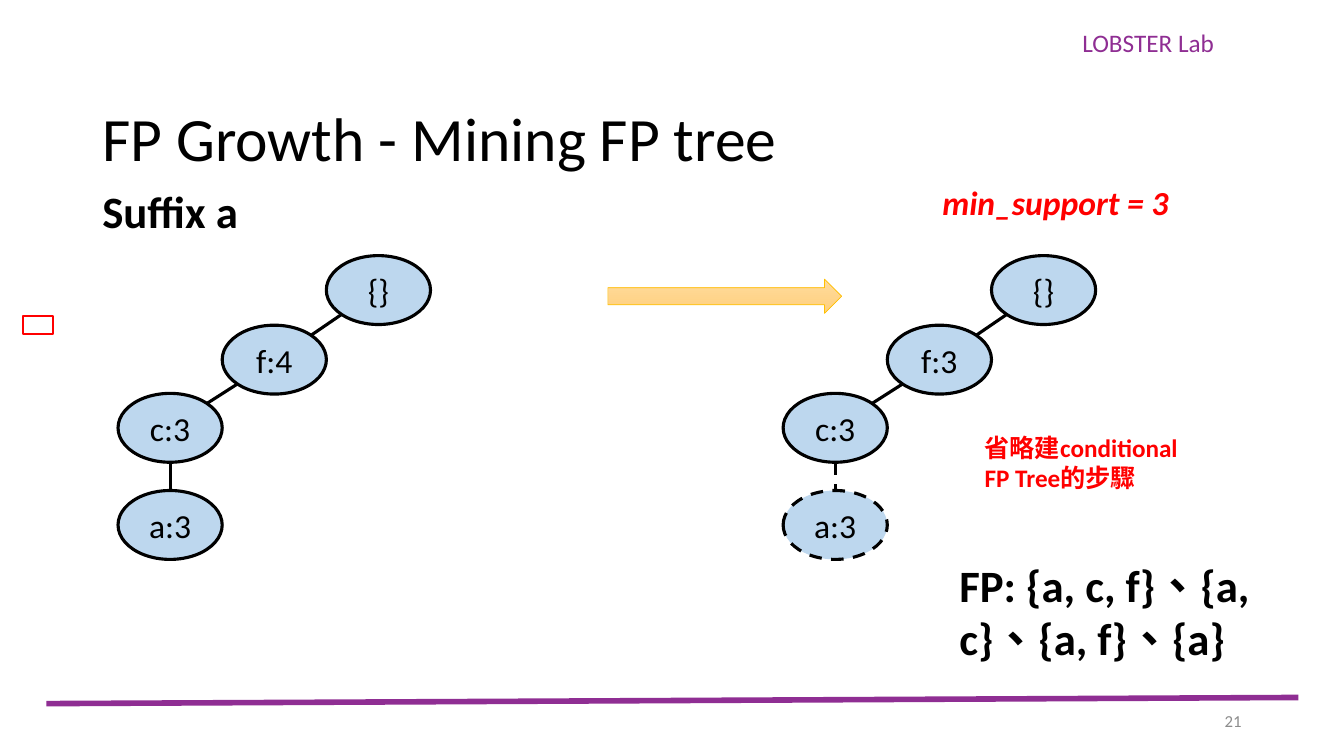
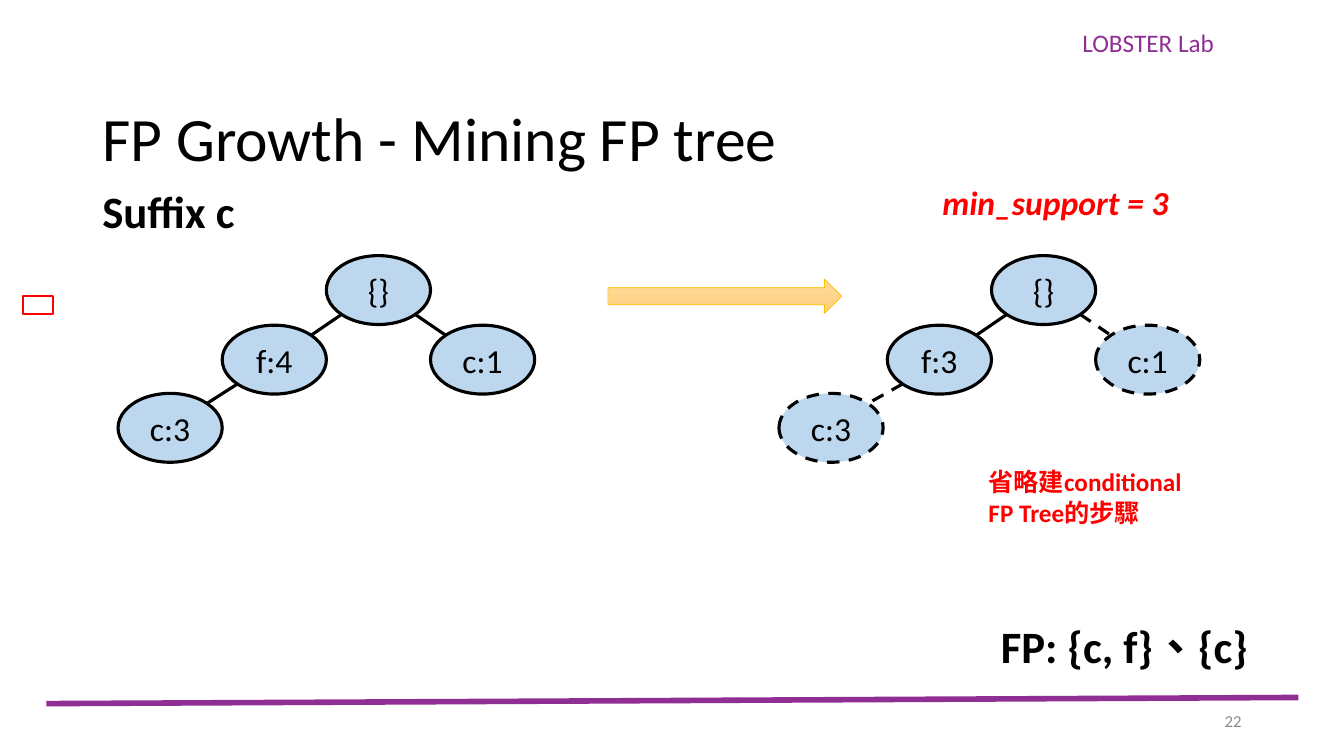
import math

from pptx import Presentation
from pptx.dml.color import RGBColor
from pptx.enum.dml import MSO_LINE
from pptx.enum.lang import MSO_LANGUAGE_ID
from pptx.enum.shapes import MSO_CONNECTOR, MSO_SHAPE
from pptx.enum.text import MSO_ANCHOR, PP_ALIGN
from pptx.oxml.ns import qn
from pptx.util import Pt

OVAL, ARROW, RECTANGLE = MSO_SHAPE.OVAL, MSO_SHAPE.RIGHT_ARROW, MSO_SHAPE.RECTANGLE
STRAIGHT, DASH = MSO_CONNECTOR.STRAIGHT, MSO_LINE.DASH
TOP, MIDDLE = MSO_ANCHOR.TOP, MSO_ANCHOR.MIDDLE
LEFT, CENTER, RIGHT = PP_ALIGN.LEFT, PP_ALIGN.CENTER, PP_ALIGN.RIGHT
CHINESE = MSO_LANGUAGE_ID.TRADITIONAL_CHINESE

COLORS = {
    "black": "000000", "red": "FF0000", "purple": "8F2E93", "gray": "8C8C8C",
    "node": "BDD7EE", "arrow_top": "FFDB9E", "arrow_bottom": "FFD07C",
    "arrow_line": "FFC000",
}
FORMATS = {
    "lab": {"size": 18, "color": "purple"},
    "title": {"size": 44},
    "heading": {"size": 32, "bold": True},
    "result": {"size": 32, "bold": True, "language_id": CHINESE},
    "support": {"size": 24, "color": "red", "bold": True, "italic": True},
    "note": {"size": 18, "color": "red", "bold": True, "language_id": CHINESE},
    "node": {"size": 24},
    "number": {"size": 12, "color": "gray"},
}

NODE_WIDTH, NODE_HEIGHT = 74.4, 49.2
ROW_TOPS = (182.6, 232.3, 281, 350.4)
LEFT_TREE, RIGHT_TREE = 84.3, 559.4

# Trees: name -> (label, column, row, parent, dashed)
SLIDES = [
    {
        "number": 21, "suffix": "Suffix a", "marker_top": 225.4,
        "before": {"root": ("{}", 2, 0, None, False), "f": ("f:4", 1, 1, "root", False),
                   "c": ("c:3", 0, 2, "f", False), "a": ("a:3", 0, 3, "c", False)},
        "after": {"root": ("{}", 2, 0, None, False), "f": ("f:3", 1, 1, "root", False),
                  "c": ("c:3", 0, 2, "f", False), "a": ("a:3", 0, 3, "c", True)},
        "note_at": (696.2, 305.3),
        "result": "FP: {a, c, f}、{a, c}、{a, f}、{a}",
        "result_box": (678.2, 394.6, 259.2, 85.7),
    },
    {
        "number": 22, "suffix": "Suffix c", "marker_top": 211.2,
        "before": {"root": ("{}", 2, 0, None, False), "f": ("f:4", 1, 1, "root", False),
                   "c": ("c:3", 0, 2, "f", False), "c_right": ("c:1", 3, 1, "root", False)},
        "after": {"root": ("{}", 2, 0, None, False), "f": ("f:3", 1, 1, "root", False),
                  "c": ("c:3", -0.04, 2, "f", True), "c_right": ("c:1", 3, 1, "root", True)},
        "note_at": (699, 329.8),
        "result": "FP: {c, f}、{c}",
        "result_box": (707.8, 438.5, 252.2, 46),
    },
]


def rgb(name):
    return RGBColor.from_string(COLORS[name])


class Deck:
    def __init__(self):
        self.presentation = Presentation()
        self.presentation.slide_width = Pt(960)
        self.presentation.slide_height = Pt(540)
        self.slide = None

    def new_slide(self, number):
        """Start a slide with the shared header, title and footer."""
        self.slide = self.presentation.slides.add_slide(self.presentation.slide_layouts[6])
        self.text("LOBSTER Lab", (766, 15.8, 117.4, 29), "lab")
        self.line((33.1, 502.6), (927.4, 498.2), "purple", 4)
        title = self.text("FP Growth - Mining FP tree", (66, 49, 828, 104.4), "title", anchor=MIDDLE)
        title.line_spacing = 0.9
        self.text(str(number), (678, 500.4, 216, 28.8), "number", RIGHT, MIDDLE)

    def fill_text(self, shape, text, style, align, anchor):
        frame = shape.text_frame
        frame.word_wrap = True
        frame.vertical_anchor = anchor
        paragraph = frame.paragraphs[0]
        paragraph.alignment = align
        run = paragraph.add_run()
        run.text = text
        values = {"name": "Calibri", "color": "black", **FORMATS[style]}
        run.font.color.rgb = rgb(values.pop("color"))
        values["size"] = Pt(values["size"])
        for attribute, value in values.items():
            setattr(run.font, attribute, value)
        return paragraph

    def text(self, text, box, style, align=LEFT, anchor=TOP):
        shape = self.slide.shapes.add_textbox(*map(Pt, box))
        return self.fill_text(shape, text, style, align, anchor)

    def outline(self, line, color, width, dashed=False):
        line.color.rgb = rgb(color)
        line.width = Pt(width)
        if dashed:
            line.dash_style = DASH

    def shape(self, kind, box, color, width, dashed=False):
        shape = self.slide.shapes.add_shape(kind, *map(Pt, box))
        shape.shadow.inherit = False
        shape.fill.background()
        self.outline(shape.line, color, width, dashed)
        return shape

    def line(self, start, end, color="black", width=2.25, dashed=False):
        connector = self.slide.shapes.add_connector(STRAIGHT, *map(Pt, (*start, *end)))
        self.outline(connector.line, color, width, dashed)
        properties = connector._element.spPr
        properties.append(properties.makeelement(qn("a:effectLst"), {}))

    def arrow(self, box):
        fill = self.shape(ARROW, box, "arrow_line", 0.5).fill
        fill.gradient()
        fill.gradient_angle = 270
        for stop, color in zip(fill.gradient_stops, ("arrow_top", "arrow_bottom")):
            stop.color.rgb = rgb(color)

    def node(self, label, center, dashed):
        x, y = center
        box = (x - NODE_WIDTH / 2, y - NODE_HEIGHT / 2, NODE_WIDTH, NODE_HEIGHT)
        shape = self.shape(OVAL, box, "black", 2.25, dashed)
        shape.fill.solid()
        shape.fill.fore_color.rgb = rgb("node")
        self.fill_text(shape, label, "node", CENTER, MIDDLE)

    def edge(self, parent, child, dashed):
        """Join two ovals at their facing diagonal points, or straight down."""
        side = (child[0] > parent[0]) - (child[0] < parent[0])
        diagonal = math.sqrt(0.5)
        across = side * diagonal * NODE_WIDTH / 2
        down = (diagonal if side else 1) * NODE_HEIGHT / 2
        self.line((parent[0] + across, parent[1] + down),
                  (child[0] - across, child[1] - down), dashed=dashed)

    def tree(self, nodes, left):
        centers = {}
        for name, (label, column, row, parent, dashed) in nodes.items():
            centers[name] = (left + (column + 0.5) * NODE_WIDTH, ROW_TOPS[row] + NODE_HEIGHT / 2)
            self.node(label, centers[name], dashed)
            if parent:
                self.edge(centers[parent], centers[name], dashed)


def main():
    deck = Deck()
    for content in SLIDES:
        deck.new_slide(content["number"])
        deck.text(content["suffix"], (66, 127.4, 252, 46), "heading")
        deck.text("min_support = 3", (666, 126.7, 189.4, 36), "support")
        deck.tree(content["before"], LEFT_TREE)
        deck.tree(content["after"], RIGHT_TREE)
        deck.arrow((434.2, 199.4, 167, 24.5))
        deck.shape(RECTANGLE, (16.6, content["marker_top"], 21.6, 13), "red", 1.5)
        deck.text("省略建conditional FP Tree的步驟", (*content["note_at"], 156.2, 51), "note")
        deck.text(content["result"], content["result_box"], "result")
    deck.presentation.save("out.pptx")


if __name__ == "__main__":
    main()
